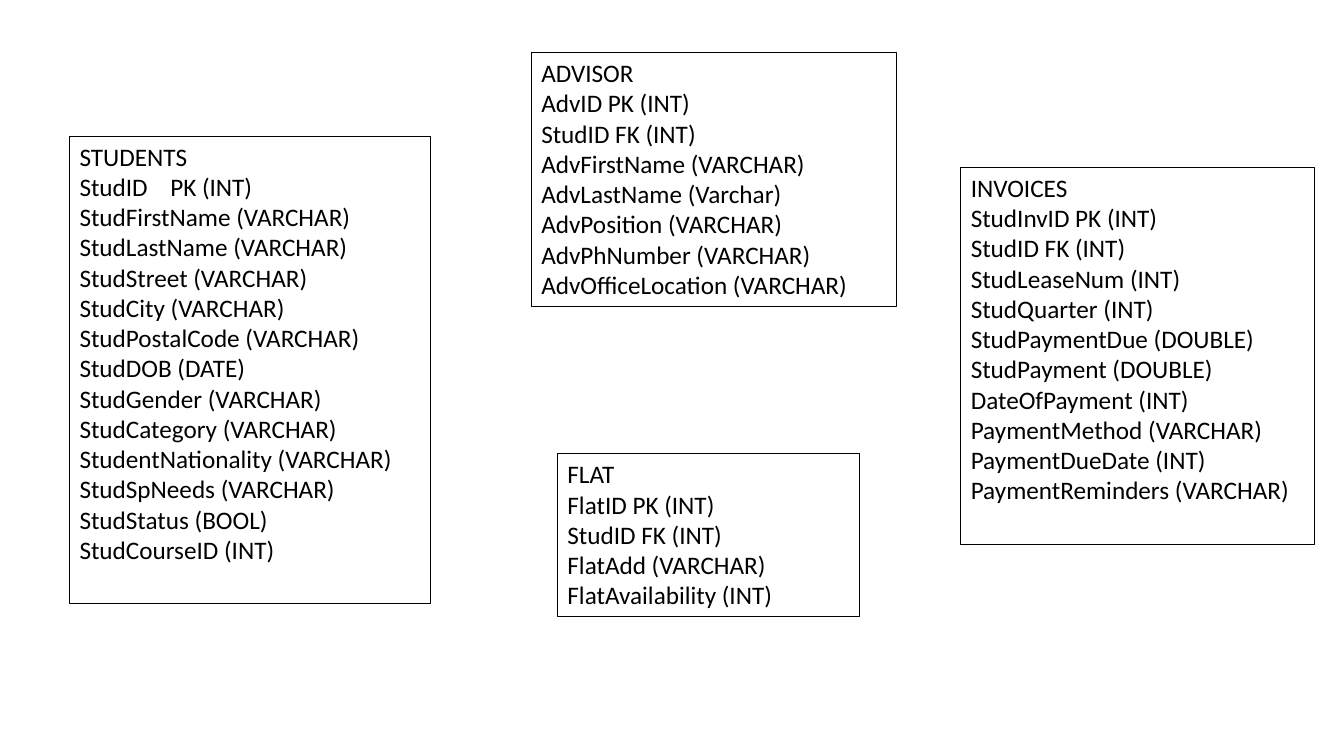
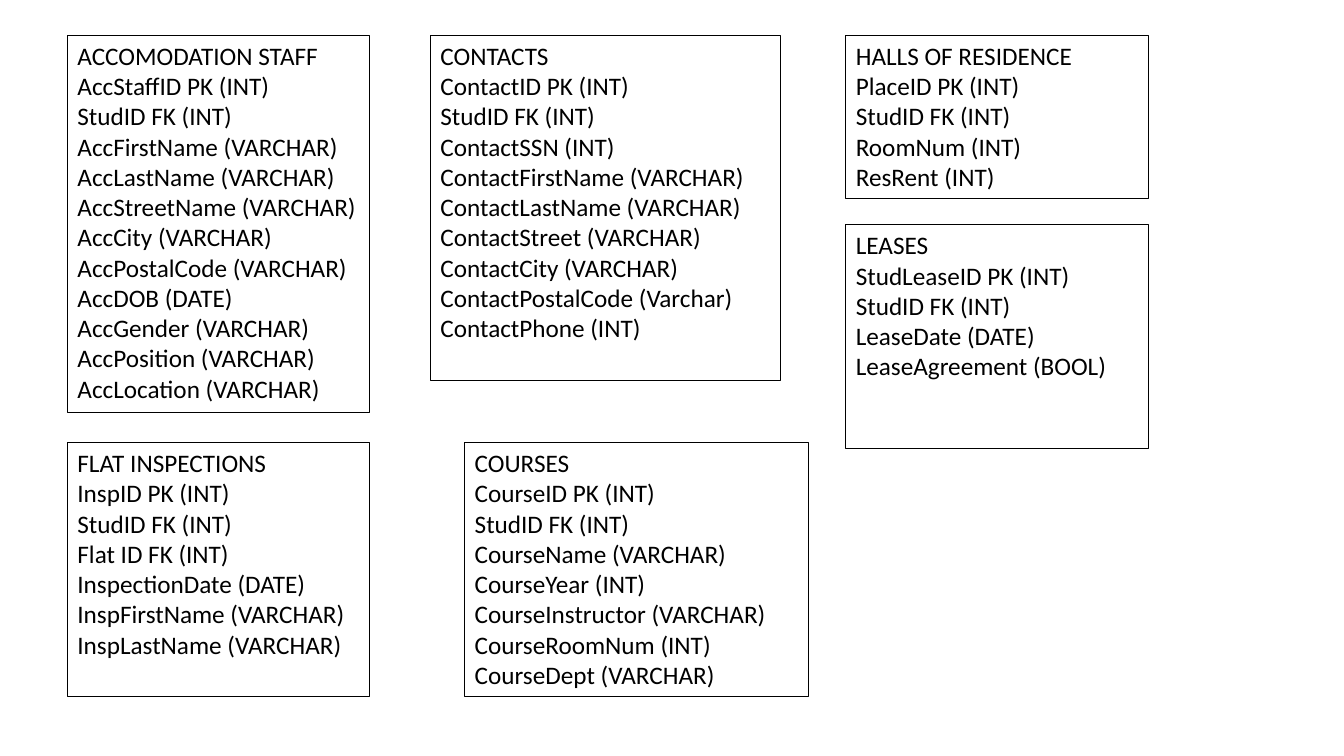
import dataclasses

import lxml.etree
import pptx
import pptx.dml.color
import pptx.enum.text
import pptx.oxml.ns
import pptx.slide
import pptx.text.text
import pptx.util

COLORS = {"ink": "000000"}
FONT = "Calibri"
TAB_STOP = 0.9
BOX = 3.0
LEFT, RIGHT = 0.67, 8.39
TOP, LOWER = 0.35, 4.39


@dataclasses.dataclass(frozen=True)
class Entity:
    """A database table: its box in inches, and its name and fields as lines."""
    left: float
    top: float
    width: float
    height: float
    lines: tuple[str, ...]


SLIDES = (
    (
        Entity(0.69, 1.35, 3.58, 4.64, (
            "STUDENTS",
            "StudID\tPK (INT)",
            "StudFirstName (VARCHAR)",
            "StudLastName (VARCHAR)",
            "StudStreet (VARCHAR)",
            "StudCity (VARCHAR)",
            "StudPostalCode (VARCHAR)",
            "StudDOB (DATE)",
            "StudGender\u00a0(VARCHAR)",
            "StudCategory (VARCHAR)",
            "StudentNationality (VARCHAR)",
            "StudSpNeeds (VARCHAR)",
            "StudStatus (BOOL)",
            "StudCourseID (INT)",
        )),
        Entity(5.27, 0.52, 3.62, 2.52, (
            "ADVISOR",
            "AdvID PK (INT)\nStudID FK (INT)",
            "AdvFirstName (VARCHAR)",
            "AdvLastName (Varchar)",
            "AdvPosition (VARCHAR)",
            "AdvPhNumber (VARCHAR)",
            "AdvOfficeLocation (VARCHAR)",
        )),
        Entity(5.53, 4.5, BOX, 1.62, (
            "FLAT",
            "FlatID PK (INT)",
            "StudID FK (INT)",
            "FlatAdd (VARCHAR)",
            "FlatAvailability (INT)",
        )),
        Entity(9.53, 1.66, 3.51, 3.74, (
            "INVOICES",
            "StudInvID PK (INT)",
            "StudID FK (INT)",
            "StudLeaseNum (INT)",
            "StudQuarter (INT)",
            "StudPaymentDue (DOUBLE)",
            "StudPayment (DOUBLE)",
            "DateOfPayment (INT)",
            "PaymentMethod (VARCHAR)",
            "PaymentDueDate (INT)",
            "PaymentReminders (VARCHAR)",
        )),
    ),
    (
        Entity(LEFT, TOP, BOX, 3.74, (
            "ACCOMODATION STAFF",
            "AccStaffID PK (INT)",
            "StudID FK (INT)",
            "AccFirstName (VARCHAR)",
            "AccLastName (VARCHAR)",
            "AccStreetName (VARCHAR)",
            "AccCity (VARCHAR)",
            "AccPostalCode (VARCHAR)",
            "AccDOB (DATE)",
            "AccGender (VARCHAR)",
            "AccPosition (VARCHAR)",
            "AccLocation (VARCHAR)",
        )),
        Entity(4.27, TOP, 3.47, 3.43, (
            "CONTACTS",
            "ContactID PK (INT)",
            "StudID FK (INT)",
            "ContactSSN (INT)",
            "ContactFirstName (VARCHAR)",
            "ContactLastName (VARCHAR)",
            "ContactStreet (VARCHAR)",
            "ContactCity (VARCHAR)",
            "ContactPostalCode (Varchar)",
            "ContactPhone (INT)",
        )),
        Entity(RIGHT, TOP, BOX, 1.62, (
            "HALLS OF RESIDENCE",
            "PlaceID PK (INT)",
            "StudID FK (INT)",
            "RoomNum (INT)",
            "ResRent (INT)",
        )),
        Entity(RIGHT, 2.23, BOX, 2.22, (
            "LEASES\nStudLeaseID PK (INT)",
            "StudID FK (INT)",
            "LeaseDate (DATE)",
            "LeaseAgreement\u00a0(BOOL)",
        )),
        Entity(LEFT, LOWER, BOX, 2.52, (
            "FLAT INSPECTIONS\nInspID PK (INT)",
            "StudID FK (INT)",
            "Flat ID FK (INT)",
            "InspectionDate (DATE)",
            "InspFirstName (VARCHAR)",
            "InspLastName (VARCHAR)",
        )),
        Entity(4.61, LOWER, 3.41, 2.52, (
            "COURSES",
            "CourseID PK (INT)",
            "StudID FK (INT)",
            "CourseName (VARCHAR)",
            "CourseYear (INT)",
            "CourseInstructor (VARCHAR)",
            "CourseRoomNum (INT)",
            "CourseDept (VARCHAR)",
        )),
    ),
)


def rgb(name: str) -> pptx.dml.color.RGBColor:
    """Return a named colour."""
    return pptx.dml.color.RGBColor.from_string(COLORS[name])


def add_text(p: pptx.text.text._Paragraph, text: str, *, size: float = 18,
             font: str = FONT, color: str = "ink") -> None:
    """Write formatted text into a paragraph, breaking lines at newlines."""
    for i, line in enumerate(text.split("\n")):
        if i:
            p.add_line_break()
        r = p.add_run()
        r.text = line
        r.font.size = pptx.util.Pt(size)
        r.font.name = font
        r.font.color.rgb = rgb(color)


def add_tab_stop(p: pptx.text.text._Paragraph, position: float) -> None:
    """Set a left tab stop, in inches, on a paragraph."""
    qn = pptx.oxml.ns.qn
    tabs = lxml.etree.SubElement(p._p.get_or_add_pPr(), qn("a:tabLst"))
    tab = lxml.etree.SubElement(tabs, qn("a:tab"))
    tab.set("pos", str(pptx.util.Inches(position)))
    tab.set("algn", "l")


def add_entity(s: pptx.slide.Slide, entity: Entity) -> None:
    """Draw an outlined box that lists an entity's name and fields."""
    box = (entity.left, entity.top, entity.width, entity.height)
    sp = s.shapes.add_textbox(*map(pptx.util.Inches, box))
    sp.line.color.rgb = rgb("ink")
    sp.line.width = pptx.util.Pt(0.75)
    tf = sp.text_frame
    tf.word_wrap = True
    tf.auto_size = pptx.enum.text.MSO_AUTO_SIZE.NONE
    tf.vertical_anchor = pptx.enum.text.MSO_ANCHOR.TOP
    for i, text in enumerate(entity.lines):
        p = tf.add_paragraph() if i else tf.paragraphs[0]
        if "\t" in text:
            add_tab_stop(p, TAB_STOP)
        add_text(p, text)


def main() -> None:
    """Build and save the presentation."""
    prs = pptx.Presentation()
    prs.slide_width = pptx.util.Inches(13.33)
    prs.slide_height = pptx.util.Inches(7.5)
    for entities in SLIDES:
        s = prs.slides.add_slide(prs.slide_layouts[6])
        for entity in entities:
            add_entity(s, entity)
    prs.save("out.pptx")


main()
